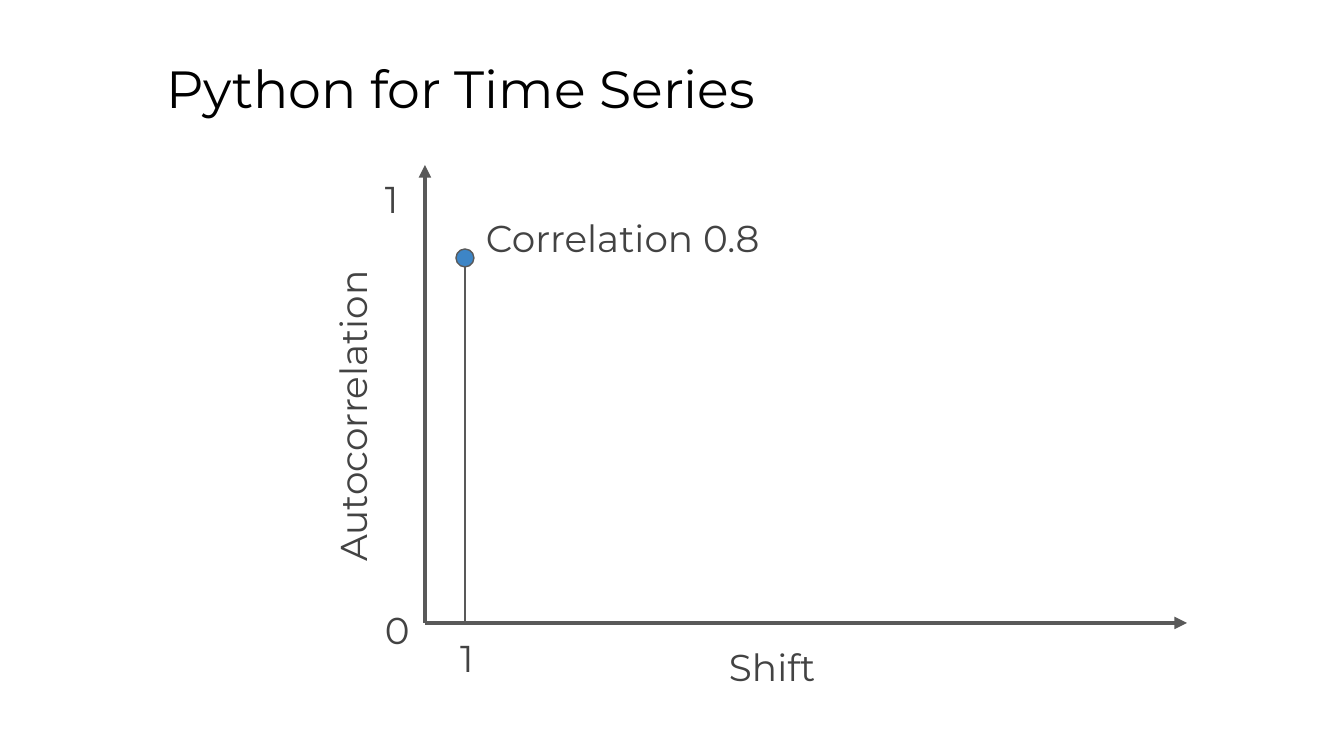
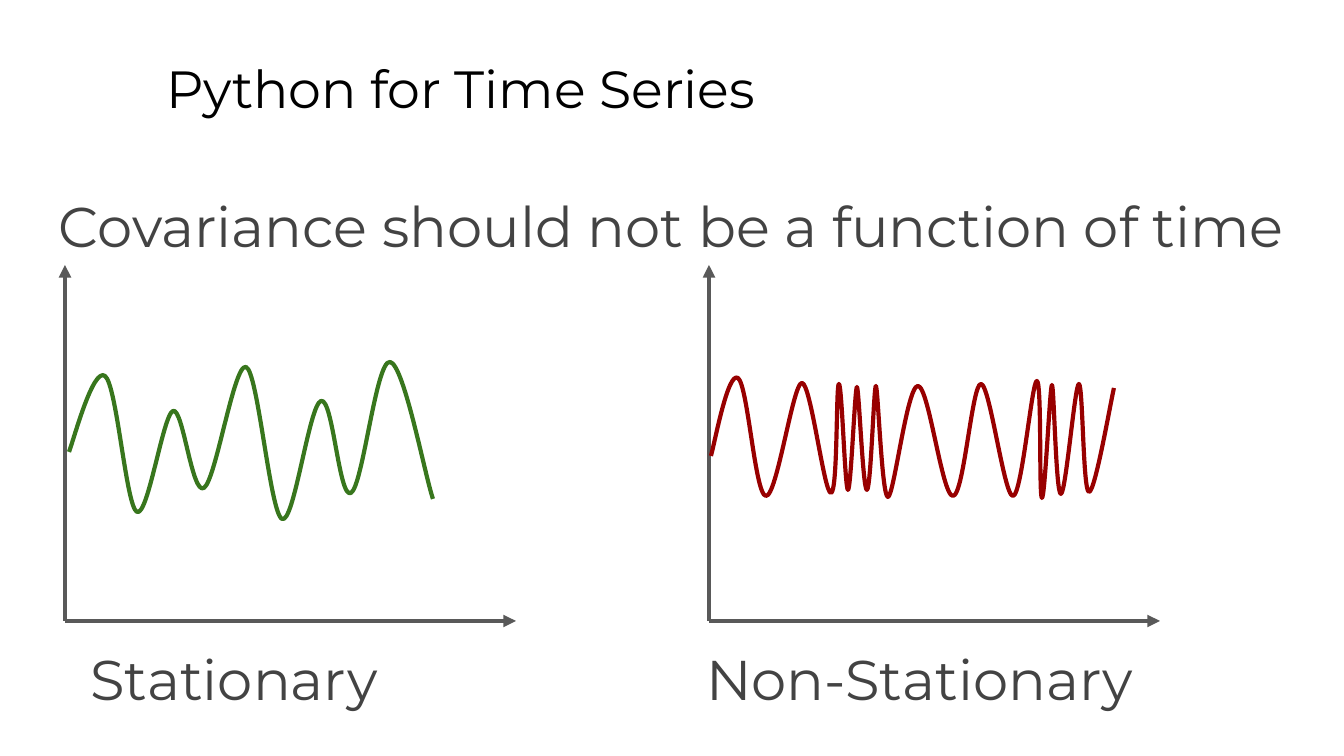
from pptx import Presentation
from pptx.dml.color import RGBColor
from pptx.enum.shapes import MSO_CONNECTOR, MSO_SHAPE
from pptx.enum.text import MSO_ANCHOR, PP_ALIGN
from pptx.oxml.ns import qn
from pptx.util import Pt
from lxml.etree import SubElement

PX = 914400 / 134.4  # EMU per pixel
BLACK = RGBColor(0x00, 0x00, 0x00)
TEXT = RGBColor(0x43, 0x43, 0x43)
AXIS = RGBColor(0x59, 0x59, 0x59)
BLUE = RGBColor(0x3D, 0x85, 0xC6)
GREEN = RGBColor(0x38, 0x76, 0x1D)
RED = RGBColor(0x98, 0x00, 0x00)
FONT = "Montserrat"
INSET = 13


def add_text(s, text, box, size=20, color=TEXT, spacing=1.15, after=0,
             align=PP_ALIGN.LEFT, right=INSET, rotation=0):
    sp = s.shapes.add_textbox(*[round(v * PX) for v in box])
    sp.rotation = rotation
    tf = sp.text_frame
    tf.word_wrap = True
    tf.vertical_anchor = MSO_ANCHOR.TOP
    tf.margin_left = tf.margin_top = tf.margin_bottom = round(INSET * PX)
    tf.margin_right = round(right * PX)
    p = tf.paragraphs[0]
    p.alignment, p.line_spacing, p.space_after = align, spacing, Pt(after)
    r = p.add_run()
    r.text = text
    r.font.name, r.font.size, r.font.color.rgb = FONT, Pt(size), color


def add_line(s, ends, width=2.25, arrow=True):
    sp = s.shapes.add_connector(MSO_CONNECTOR.STRAIGHT, *[round(v * PX) for v in ends])
    sp.line.color.rgb, sp.line.width = AXIS, Pt(width)
    if arrow:
        SubElement(sp.line._get_or_add_ln(), qn("a:tailEnd"), type="triangle")
    SubElement(sp._element.spPr, qn("a:effectLst"))


prs = Presentation()
prs.slide_width, prs.slide_height = round(1344 * PX), round(756 * PX)
slides = [prs.slides.add_slide(prs.slide_layouts[6]) for _ in range(2)]

# Shared title
for s in slides:
    add_text(s, "Python for Time Series", (153, 43, 1145, 85),
             size=28, color=BLACK, spacing=1.0)

# Slide 1: autocorrelation plot
s = slides[0]
add_line(s, (465, 625, 465, 266), width=0.75, arrow=False)
add_line(s, (425, 623, 425, 165))
add_line(s, (425, 623, 1187, 623))
sp = s.shapes.add_shape(MSO_SHAPE.OVAL, *[round(v * PX) for v in (456, 249, 18, 18)])
sp.shadow.inherit = False
sp.fill.solid()
sp.fill.fore_color.rgb = BLUE
sp.line.color.rgb, sp.line.width = AXIS, Pt(0.75)

# Axis and point labels
add_text(s, "Autocorrelation", (171, 339, 375, 97), after=16, rotation=270)
for text, x, y, w in [("Shift", 716, 624, 263), ("Correlation 0.8", 473, 195, 340),
                      ("0", 372, 587, 263), ("1", 372, 156, 263), ("1", 447, 615, 54)]:
    add_text(s, text, (x, y, w, 97), after=16)

# Slide 2: two series, each with its axes and caption
s = slides[1]
add_text(s, "Covariance should not be a function of time", (46, 169, 1298, 503), size=30)
for text, x, w, right in [("Stationary", 65, 412, 87), ("Non-Stationary", 685, 497, 41)]:
    add_text(s, text, (x, 621, w, 90), size=30, align=PP_ALIGN.CENTER, right=right)
for x in (65, 709):
    add_line(s, (x, 621, x, 265))
    add_line(s, (x, 621, x + 451, 621))

# Waves: start, first handle, then (incoming handle, knot) pairs
waves = [
    (GREEN, (69, 452), (74, 439), [
        (93, 367, 105, 376), (126, 507, 137, 512), (163, 415, 173, 411),
        (192, 496, 204, 488), (234, 363, 246, 367), (270, 513, 282, 519),
        (309, 405, 321, 401), (339, 500, 351, 493), (376, 360, 390, 362),
        (425, 476, 433, 499)]),
    (RED, (711, 456), (715, 442), [
        (728, 371, 738, 378), (755, 495, 766, 496), (793, 383, 802, 383),
        (824, 493, 831, 493), (836, 384, 839, 384), (845, 489, 848, 490),
        (855, 387, 857, 387), (863, 491, 867, 490), (874, 384, 876, 386),
        (882, 497, 888, 497), (907, 386, 918, 386), (942, 496, 953, 496),
        (972, 384, 981, 384), (1004, 496, 1013, 496), (1032, 380, 1037, 381),
        (1039, 497, 1042, 498), (1050, 386, 1052, 385), (1056, 495, 1061, 494),
        (1075, 384, 1079, 384), (1083, 491, 1089, 492), (1110, 406, 1114, 388)]),
]
for color, start, handle, knots in waves:
    points = []
    for hx, hy, x, y in knots:
        points += [handle, (hx, hy), (x, y)]
        handle = (2 * x - hx, 2 * y - hy)  # mirrored, so the wave stays smooth
    builder = s.shapes.build_freeform(*start, scale=PX)
    builder.add_line_segments(points, close=False)
    sp = builder.convert_to_shape()
    sp.shadow.inherit = False
    sp.fill.background()
    sp.line.color.rgb, sp.line.width = color, Pt(2.25)
    # Every three line segments become one Bezier segment
    outline = sp._element.spPr.find(".//" + qn("a:path"))
    segments = outline.findall(qn("a:lnTo"))
    for i in range(0, len(segments), 3):
        curve = SubElement(outline, qn("a:cubicBezTo"))
        for segment in segments[i:i + 3]:
            curve.append(segment[0])
            outline.remove(segment)

prs.save("out.pptx")
